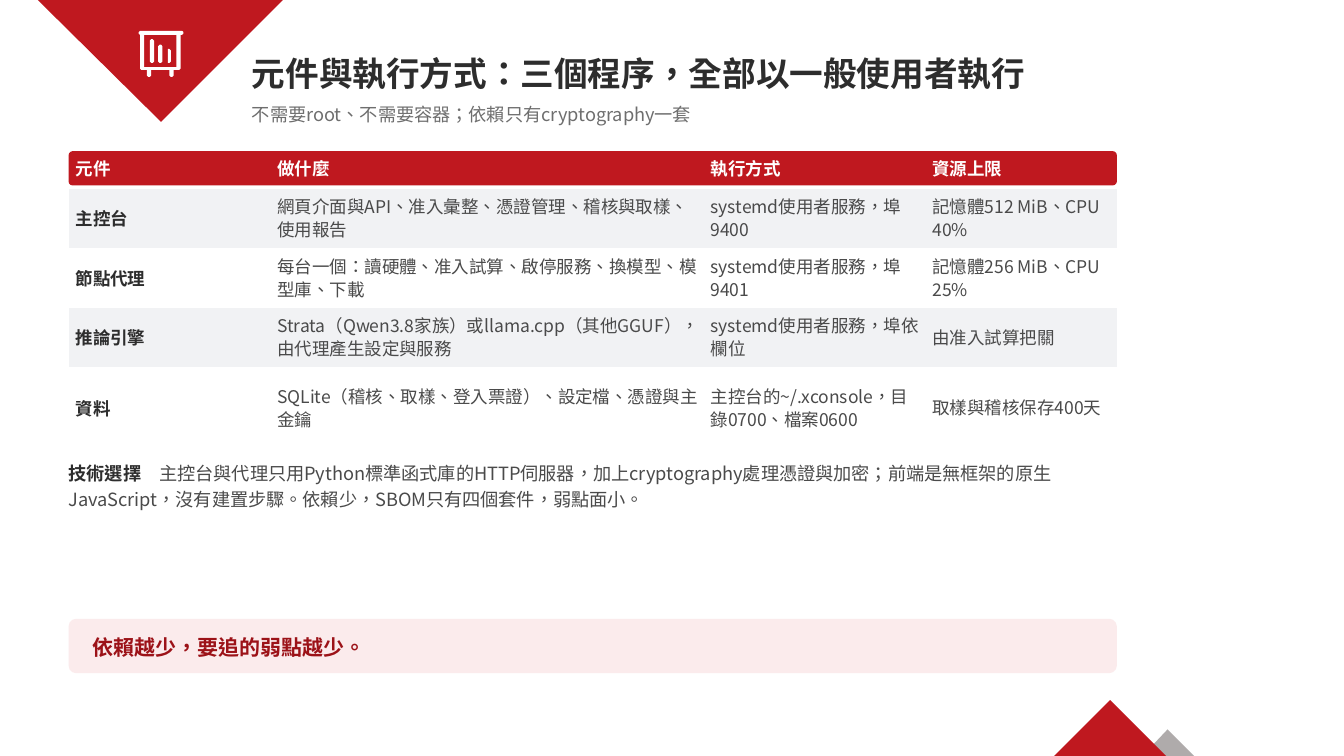
from dataclasses import dataclass

from lxml import etree
from pptx import Presentation
from pptx import util as u
from pptx.dml.color import RGBColor
from pptx.enum import shapes, text
from pptx.oxml.ns import qn

Pt = u.Pt
NO_GRID_STYLE = "{2D5ABB26-0587-4C30-8999-92F81FD0307C}"


@dataclass(frozen=True)
class Theme:
    font: str = "Noto Sans CJK TC"
    language: str = "zh-TW"
    red: str = "BF181F"
    dark_red: str = "9C1218"
    pale_red: str = "FBEBEC"
    ink: str = "2D2D2D"
    body: str = "4A4A4A"
    muted: str = "6E6E6E"
    stripe: str = "F1F2F4"
    grey: str = "AFABAB"
    white: str = "FFFFFF"
    title_size: float = 24
    takeaway_size: float = 15
    note_size: float = 13
    table_size: float = 12.5


def bar_outline(left, top, width, height):
    """Corners of an upright bar with cut-off ends."""
    cut = width / 3
    right, bottom = left + width, top + height
    return [(left + cut, top), (right - cut, top), (right, top + cut),
            (right, bottom - cut), (right - cut, bottom), (left + cut, bottom),
            (left, bottom - cut), (left, top + cut)]


class SlideBuilder:
    def __init__(self, slide, theme):
        self.slide, self.theme = slide, theme

    def style_run(self, run, size, color, bold=False):
        run.font.size, run.font.bold = Pt(size), bold
        run.font.color.rgb = RGBColor.from_string(color)
        run.font.name = self.theme.font
        properties = run.font._element
        properties.set("lang", self.theme.language)
        etree.SubElement(properties, qn("a:ea")).set("typeface", self.theme.font)

    def paint(self, shape, color):
        shape.shadow.inherit = False
        shape.fill.solid()
        shape.fill.fore_color.rgb = RGBColor.from_string(color)
        shape.line.fill.background()

    def outline(self, contours, color):
        builder = self.slide.shapes.build_freeform(*contours[0][0], scale=Pt(1))
        for index, points in enumerate(contours):
            if index:
                builder.move_to(*points[0])
            builder.add_line_segments(points[1:], close=True)
        self.paint(builder.convert_to_shape(), color)

    def rounded(self, box, color, radius):
        shape = self.slide.shapes.add_shape(
            shapes.MSO_SHAPE.ROUNDED_RECTANGLE, *map(Pt, box))
        shape.adjustments[0] = radius
        self.paint(shape, color)

    def fill_frame(self, frame, runs, size, spacing, anchor):
        frame.word_wrap = True
        frame.auto_size = text.MSO_AUTO_SIZE.NONE
        frame.vertical_anchor = anchor
        frame.margin_left = frame.margin_right = 0
        frame.margin_top = frame.margin_bottom = 0
        paragraph = frame.paragraphs[0]
        paragraph.alignment = text.PP_ALIGN.LEFT
        paragraph.line_spacing = spacing
        for words, color, bold in runs:
            run = paragraph.add_run()
            run.text = words
            self.style_run(run, size, color, bold)

    def title(self, box, words):
        heading = self.slide.shapes.title
        heading.left, heading.top, heading.width, heading.height = map(Pt, box)
        self.fill_frame(heading.text_frame, [(words, self.theme.ink, True)],
                        self.theme.title_size, 1.0, text.MSO_ANCHOR.MIDDLE)

    def label(self, box, runs, size, spacing=1.0, anchor=text.MSO_ANCHOR.TOP):
        frame = self.slide.shapes.add_textbox(*map(Pt, box)).text_frame
        self.fill_frame(frame, runs, size, spacing, anchor)

    def table(self, left, top, widths, heights, rows, header_gap):
        theme = self.theme
        table = self.slide.shapes.add_table(
            len(rows), len(widths), Pt(left), Pt(top),
            Pt(sum(widths)), Pt(sum(heights))).table
        table.first_row = table.horz_banding = False
        table._tbl.tblPr.find(qn("a:tableStyleId")).text = NO_GRID_STYLE
        for column, width in zip(table.columns, widths):
            column.width = Pt(width)
        for r, (row, height) in enumerate(zip(rows, heights)):
            table.rows[r].height = Pt(height)
            for c, words in enumerate(row):
                cell = table.cell(r, c)
                cell.margin_left, cell.margin_right = Pt(5), Pt(4)
                cell.margin_top = 0
                cell.margin_bottom = Pt(0 if r else header_gap)
                cell.vertical_anchor = text.MSO_ANCHOR.MIDDLE
                if r % 2:
                    cell.fill.solid()
                    cell.fill.fore_color.rgb = RGBColor.from_string(theme.stripe)
                else:
                    cell.fill.background()
                cell.text_frame.text = words
                paragraph = cell.text_frame.paragraphs[0]
                paragraph.line_spacing = 0.9 if r and c else 1.0
                color = theme.white if r == 0 else theme.body if c else theme.ink
                self.style_run(paragraph.runs[0], theme.table_size, color,
                               r == 0 or c == 0)


def main():
    theme = Theme()
    deck = Presentation()
    deck.slide_width, deck.slide_height = Pt(960), Pt(540)
    page = SlideBuilder(deck.slides.add_slide(deck.slide_layouts[5]), theme)
    left, width = 49, 748.8

    # Corner triangles
    page.outline([[(834.5, 521.3), (853.2, 540), (815.8, 540)]], theme.grey)
    page.outline([[(27.4, 0), (202.3, 0), (114.8, 87.4)]], theme.red)
    page.outline([[(793, 499.7), (833.3, 540), (752.8, 540)]], theme.red)

    # Chart board icon: frame with legs, its opening, three bars
    frame = [(99.6, 22.3), (130, 22.3), (131, 23.3), (131, 24.2), (130, 25.2),
             (128.9, 25.2), (128.9, 49.4), (127.9, 50.4), (123.9, 50.4),
             (123.9, 53.9), (122.9, 54.9), (122, 54.9), (121, 53.9), (121, 50.4),
             (108, 50.4), (108, 53.9), (107, 54.9), (106.1, 54.9), (105.1, 53.9),
             (105.1, 50.4), (101.1, 50.4), (100.1, 49.4), (100.1, 25.2),
             (99.6, 25.2), (98.6, 24.2), (98.6, 23.3)]
    opening = [(103, 25.2), (103, 47.5), (126, 47.5), (126, 25.2)]
    bars = [bar_outline(x, top, 2.9, 44.6 - top)
            for x, top in [(107.3, 28.1), (113, 31.7), (119.5, 35.3)]]
    page.outline([frame, opening, *bars], theme.white)

    # Heading
    page.title((180, 30.24, 734.4, 43.2), "元件與執行方式：三個程序，全部以一般使用者執行")
    page.label((180, 73.44, 734.4, 23),
               [("不需要root、不需要容器；依賴只有cryptography一套", theme.muted, False)],
               theme.note_size)

    # Component table over its rounded header bar
    components = [
        ("元件", "做什麼", "執行方式", "資源上限"),
        ("主控台", "網頁介面與API、准入彙整、憑證管理、稽核與取樣、使用報告",
         "systemd使用者服務，埠9400", "記憶體512 MiB、CPU 40%"),
        ("節點代理", "每台一個：讀硬體、准入試算、啟停服務、換模型、模型庫、下載",
         "systemd使用者服務，埠9401", "記憶體256 MiB、CPU 25%"),
        ("推論引擎", "Strata（Qwen3.8家族）或llama.cpp（其他GGUF），由代理產生設定與服務",
         "systemd使用者服務，埠依欄位", "由准入試算把關"),
        ("資料", "SQLite（稽核、取樣、登入票證）、設定檔、憑證與主金鑰",
         "主控台的~/.xconsole，目錄0700、檔案0600", "取樣與稽核保存400天"),
    ]
    header_height, header_gap = 24.5, 2.2
    page.rounded((left, 108, width, header_height), theme.red, 0.12)
    page.table(left, 108, [144, 309.6, 158.4, 136.8],
               [header_height + header_gap] + [42.5] * 3 + [58.3],
               components, header_gap + 1)

    # Technology choice
    page.label((left, 327.6, width, 39.6), [
        ("技術選擇　", theme.ink, True),
        ("主控台與代理只用Python標準函式庫的HTTP伺服器，加上cryptography處理憑證與加密；"
         "前端是無框架的原生JavaScript，沒有建置步驟。依賴少，SBOM只有四個套件，弱點面小。",
         theme.body, False),
    ], theme.note_size, 1.18)

    # Takeaway
    page.rounded((left, 442, width, 38.9), theme.pale_red, 0.14)
    page.label((66.2, 442, 716.4, 38.9),
               [("依賴越少，要追的弱點越少。", theme.dark_red, True)],
               theme.takeaway_size, 1.05, text.MSO_ANCHOR.MIDDLE)

    deck.save("out.pptx")


if __name__ == "__main__":
    main()
